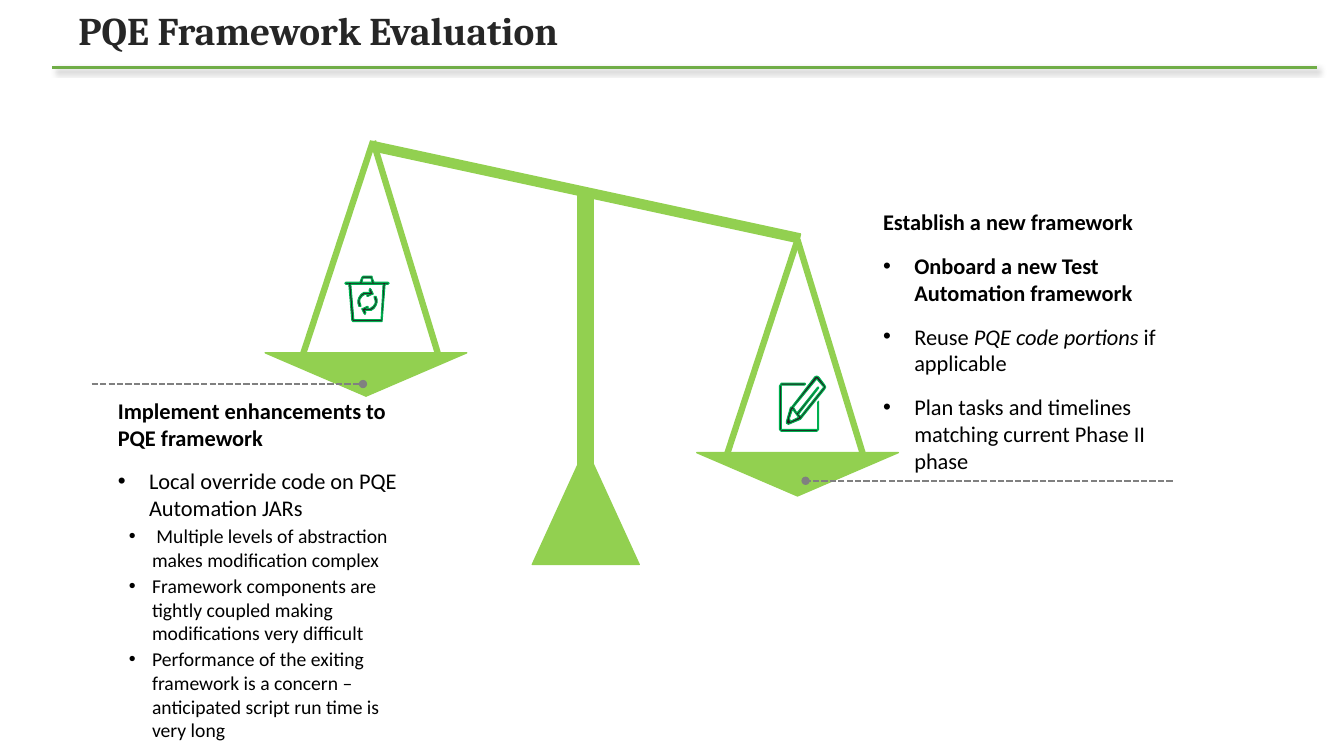
"""Builds the PQE framework evaluation slide: a tilted balance with one option on each pan."""
from lxml.etree import SubElement
from pptx import Presentation
from pptx.dml.color import RGBColor
from pptx.enum.dml import MSO_LINE
from pptx.enum.shapes import MSO_CONNECTOR, MSO_SHAPE
from pptx.enum.text import MSO_ANCHOR
from pptx.oxml.ns import qn
from pptx.util import Inches, Pt

WIDTH, HEIGHT = 13.33, 7.5
BALANCE, RULE, CALLOUT = "92D050", "70AD47", "808080"
ICON_FILL, ICON_LINE, BLACK, TITLE_COLOR = "231F20", "00B050", "000000", "262626"

TITLE = "PQE Framework Evaluation"
HEADING = dict(bold=True, after=12)
ITEM = dict(margin=0.31, hanging=0.31, bullet=True, after=12)
SUBITEM = dict(size=14, margin=0.81, hanging=0.23, bullet=True, after=2)

TEXT_BOXES = [
    ((1.07, 3.89, 3.28, 1.78), [
        ("Implement enhancements to PQE framework", HEADING),
        ("Local override code on PQE Automation JARs", ITEM),
    ]),
    ((8.66, 2.02, 2.98, 2.76), [
        ("Establish a new framework", HEADING),
        ("Onboard a new Test Automation framework", dict(ITEM, bold=True)),
        (["Reuse ", "PQE code portions", " if applicable"], dict(ITEM, italic_runs=(1,))),
        ("Plan tasks and timelines matching current Phase II phase", ITEM),
    ]),
    ((0.6, 5.15, 3.5, 2.28), [
        (" Multiple levels of abstraction makes modification complex", SUBITEM),
        ("Framework components are tightly coupled making modifications very difficult", SUBITEM),
        ("Performance of the exiting framework is a concern – "
         "anticipated script run time is very long", SUBITEM),
    ]),
]

HOOKS = [(3.7, 1.4), (7.91, 2.38)]
PANS = [(2.63, 3.5), (6.91, 4.49)]
PAN_SIZE = (2, 0.43)
ROPE_DROP, ROPE_REACHES = 2.13, (-0.7, 0.65)
CALLOUTS = [((0.91, 3.81), (3.6, 3.81)), ((11.63, 4.77), (7.99, 4.77))]

RECYCLE_ARROW = [
    (363, 306), (365, 306), (365, 304), (364, 304), (360, 306), (359, 306), (359, 307),
    (361, 311), (362, 312), (363, 310), (362, 308), (364, 308), (368, 308), (371, 306),
    (373, 303), (374, 300), (374, 297), (373, 294), (371, 294), (371, 295), (372, 298),
    (372, 301), (370, 304), (367, 306)]
ARROW_CENTRE_SUM = (729, 598)
ICON_OUTLINES = [
    [[(818, 382), (812, 374), (810, 373), (808, 374), (785, 404), (784, 404), (780, 418),
      (780, 420), (782, 421), (794, 416), (818, 386), (819, 384)],
     [(786, 406), (792, 414), (784, 418), (783, 415)],
     [(817, 384), (794, 413), (792, 411), (812, 385), (812, 384), (811, 384), (791, 409),
      (790, 409), (787, 404), (810, 376)]],
    [[(812, 398), (811, 399), (811, 426), (775, 426), (775, 382), (798, 382), (799, 381),
      (798, 380), (775, 380), (773, 383), (773, 426), (775, 428), (810, 428), (812, 426)]],
    [[(385, 280), (371, 280), (369, 275), (369, 274), (360, 274), (359, 275), (357, 280),
      (343, 280), (342, 281), (343, 282), (346, 282), (349, 318), (350, 319), (379, 319),
      (382, 282), (385, 282), (386, 281)],
     [(360, 276), (368, 276), (369, 280), (359, 280)],
     [(378, 317), (351, 317), (348, 282), (380, 282)]],
    [RECYCLE_ARROW],
    [[(ARROW_CENTRE_SUM[0] - x, ARROW_CENTRE_SUM[1] - y) for x, y in RECYCLE_ARROW]],
]


def color(value):
    return RGBColor.from_string(value)


def paint(shape, fill, line, width):
    shape.shadow.inherit = False
    shape.fill.solid()
    shape.fill.fore_color.rgb = color(fill)
    shape.line.color.rgb = color(line)
    shape.line.width = Pt(width)


def add_part(kind, left, top, width, height, rotation=0):
    shape = slide.shapes.add_shape(kind, *map(Inches, (left, top, width, height)))
    shape.rotation = rotation
    paint(shape, BALANCE, BALANCE, 1)


def add_line(start, end, line_color, width, dotted=False, shadow=False):
    line = slide.shapes.add_connector(MSO_CONNECTOR.STRAIGHT, *map(Inches, (*start, *end)))
    line.line.color.rgb = color(line_color)
    line.line.width = Pt(width)
    if dotted:
        line.line.dash_style = MSO_LINE.SQUARE_DOT
        SubElement(line.line._get_or_add_ln(), qn("a:tailEnd"), type="oval")
    effects = SubElement(line._element.spPr, qn("a:effectLst"))
    if shadow:
        outer = SubElement(effects, qn("a:outerShdw"), blurRad=str(Pt(4)), dist=str(Pt(3)),
                           dir="2700000", algn="tl", rotWithShape="0")
        shade = SubElement(outer, qn("a:srgbClr"), val=BLACK)
        SubElement(shade, qn("a:alpha"), val="40000")


def add_icon(contours):
    builder = slide.shapes.build_freeform(*contours[0][0], scale=Inches(0.01))
    for contour in contours:
        builder.move_to(*contour[0])
        builder.add_line_segments(contour[1:], close=True)
    paint(builder.convert_to_shape(), ICON_FILL, ICON_LINE, 0.75)


def add_frame(left, top, width, height, anchor=MSO_ANCHOR.TOP):
    frame = slide.shapes.add_textbox(*map(Inches, (left, top, width, height))).text_frame
    frame.word_wrap = True
    frame.vertical_anchor = anchor
    return frame


def write(paragraph, text, size=16, font="Calibri", text_color=BLACK, bold=False,
          italic_runs=(), margin=0, hanging=0, bullet=False, after=0, spacing=1.0):
    paragraph.space_after = Pt(after)
    paragraph.line_spacing = spacing
    properties = paragraph._p.get_or_add_pPr()
    properties.set("marL", str(Inches(margin)))
    properties.set("indent", str(-Inches(hanging)))
    if bullet:
        SubElement(properties, qn("a:buFont"), typeface="Arial")
        SubElement(properties, qn("a:buChar"), char="•")
    for index, part in enumerate([text] if isinstance(text, str) else text):
        run = paragraph.add_run()
        run.text = part
        run.font.size, run.font.name = Pt(size), font
        run.font.bold, run.font.italic = bold, index in italic_runs
        run.font.color.rgb = color(text_color)


presentation = Presentation()
presentation.slide_width, presentation.slide_height = Inches(WIDTH), Inches(HEIGHT)
slide = presentation.slides.add_slide(presentation.slide_layouts[6])

title = add_frame(0.08, 0.06, 12.31, 0.53, MSO_ANCHOR.MIDDLE)
write(title.paragraphs[0], TITLE, size=28, font="Cambria", text_color=TITLE_COLOR,
      bold=True, margin=0.6, spacing=0.9)
add_line((0.52, 0.67), (13.06, 0.67), RULE, 1.5, shadow=True)

add_part(MSO_SHAPE.ISOSCELES_TRIANGLE, 5.28, 4.44, 1.06, 1.16)
add_part(MSO_SHAPE.RECTANGLE, 5.73, 1.88, 0.15, 3.36)
add_part(MSO_SHAPE.RECTANGLE, 3.63, 1.86, 4.35, 0.09, rotation=12.2)
for (hook_x, hook_y), pan in zip(HOOKS, PANS):
    for reach in ROPE_REACHES:
        add_line((hook_x, hook_y), (hook_x + reach, hook_y + ROPE_DROP), BALANCE, 4.5)
    add_part(MSO_SHAPE.ISOSCELES_TRIANGLE, *pan, *PAN_SIZE, rotation=180)

for start, end in CALLOUTS:
    add_line(start, end, CALLOUT, 1.5, dotted=True)
for contours in ICON_OUTLINES:
    add_icon(contours)

for box, paragraphs in TEXT_BOXES:
    frame = add_frame(*box)
    for index, (text, style) in enumerate(paragraphs):
        write(frame.add_paragraph() if index else frame.paragraphs[0], text, **style)

presentation.save("out.pptx")
